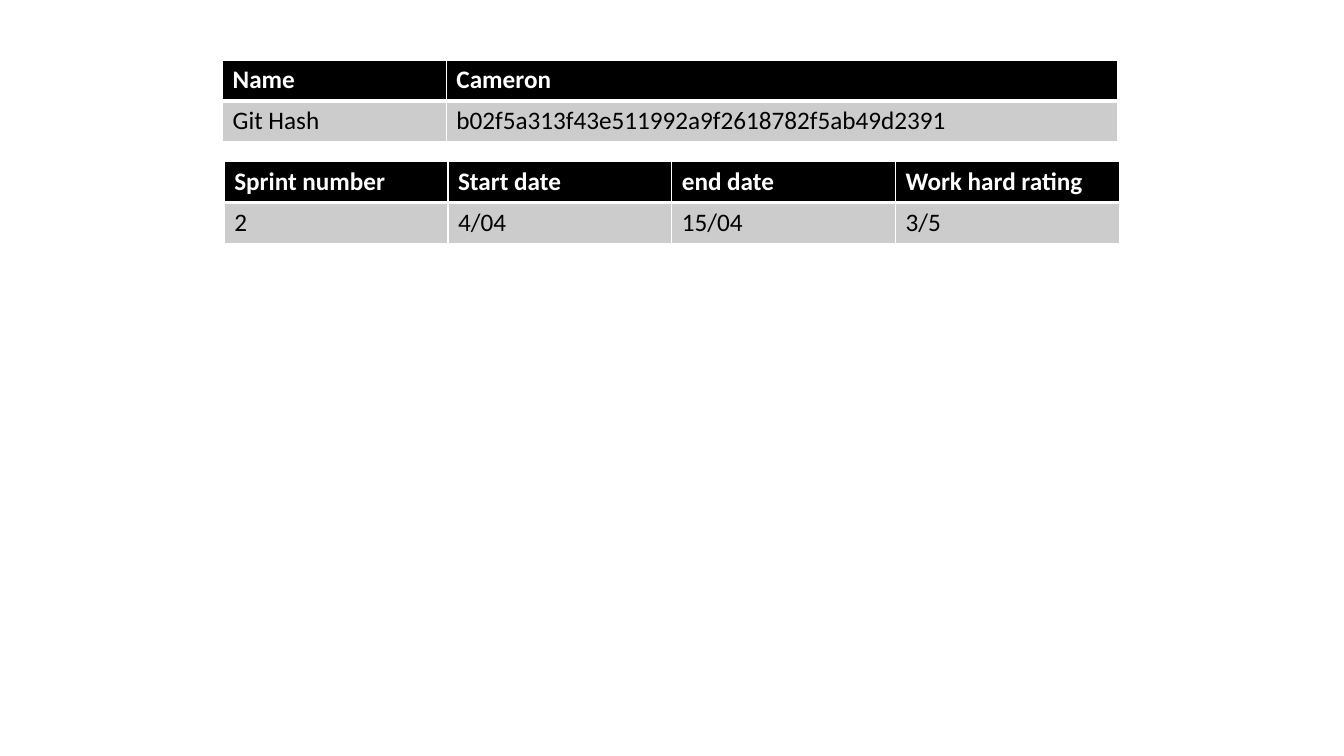
"""Build a slide with a commit table and a sprint table."""
from lxml import etree
from pptx import Presentation
from pptx.dml.color import RGBColor
from pptx.oxml.ns import qn
from pptx.util import Cm, Pt

BLANK_LAYOUT = 6
ROW_HEIGHT = 1.03
COLUMN_WIDTH = 5.64
WHITE, BLACK, GREY = "FFFFFF", "000000", "CCCCCC"
HEADER = {
    "fill": BLACK,
    "color": WHITE,
    "font": {"name": "Calibri", "size": Pt(18), "bold": True},
    "borders": {"a:lnL": 1, "a:lnR": 1, "a:lnT": 1, "a:lnB": 3},
}
BODY = {
    "fill": GREY,
    "color": BLACK,
    "font": {"name": "Calibri", "size": Pt(18), "bold": False},
    "borders": {"a:lnL": 1, "a:lnR": 1, "a:lnT": 3, "a:lnB": 1},
}


def rgb(value):
    return RGBColor.from_string(value)


class SlideBuilder:
    def __init__(self, slide, header, body):
        self.slide = slide
        self.header = header
        self.body = body

    def border(self, cell, side, width):
        properties = cell._tc.get_or_add_tcPr()
        line = etree.SubElement(properties, qn(side), w=str(Pt(width)))
        fill = etree.SubElement(line, qn("a:solidFill"))
        etree.SubElement(fill, qn("a:srgbClr"), val=WHITE)

    def cell(self, cell, text, style):
        for side, width in style["borders"].items():
            self.border(cell, side, width)
        cell.fill.solid()
        cell.fill.fore_color.rgb = rgb(style["fill"])
        run = cell.text_frame.paragraphs[0].add_run()
        run.text = text
        for name, value in style["font"].items():
            setattr(run.font, name, value)
        run.font.color.rgb = rgb(style["color"])

    def table(self, left, top, widths, rows):
        shape = self.slide.shapes.add_table(
            len(rows), len(widths), Cm(left), Cm(top),
            Cm(sum(widths)), Cm(ROW_HEIGHT * len(rows)))
        table = shape.table
        for column, width in zip(table.columns, widths):
            column.width = Cm(width)
        for row_index, texts in enumerate(rows):
            table.rows[row_index].height = Cm(ROW_HEIGHT)
            style = self.body if row_index else self.header
            for column_index, text in enumerate(texts):
                self.cell(table.cell(row_index, column_index), text, style)


def main():
    presentation = Presentation()
    presentation.slide_width = Cm(33.87)
    presentation.slide_height = Cm(19.05)
    slide = presentation.slides.add_slide(
        presentation.slide_layouts[BLANK_LAYOUT])
    builder = SlideBuilder(slide, HEADER, BODY)
    builder.table(5.61, 1.51, [COLUMN_WIDTH, 3 * COLUMN_WIDTH], [
        ["Name", "Cameron"],
        ["Git Hash", "b02f5a313f43e511992a9f2618782f5ab49d2391"],
    ])
    builder.table(5.65, 4.07, [COLUMN_WIDTH] * 4, [
        ["Sprint number", "Start date", "end date", "Work hard rating"],
        ["2", "4/04", "15/04", "3/5"],
    ])
    presentation.save("out.pptx")


if __name__ == "__main__":
    main()
